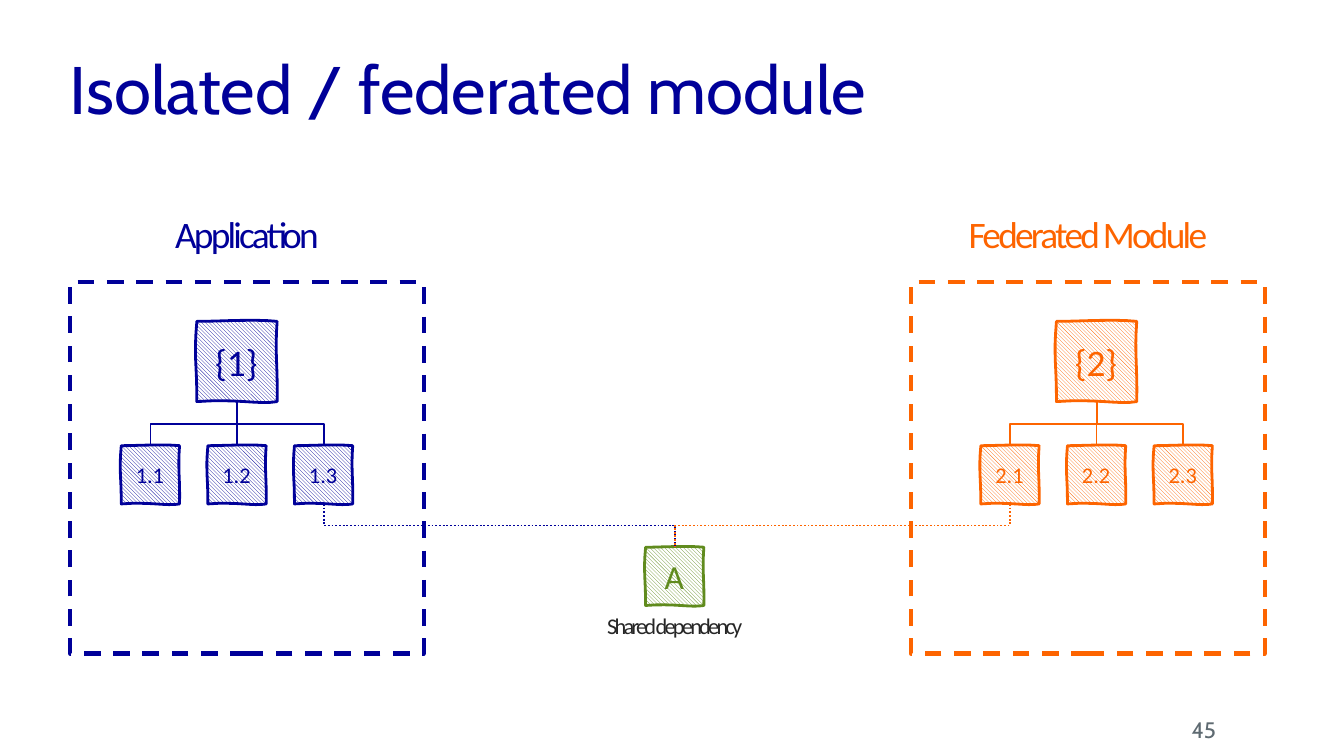
from dataclasses import dataclass

from pptx import Presentation, oxml
from pptx import util as u
from pptx.dml.color import RGBColor
from pptx.enum import dml, shapes, text
from pptx.oxml import ns

Pt = u.Pt


@dataclass(frozen=True)
class Theme:
    navy: str = "000099"
    orange: str = "FD6400"
    green: str = "608B1D"
    ink: str = "262626"
    grey: str = "5E6A71"
    white: str = "FFFFFF"
    heading_font: str = "Cabin"
    body_font: str = "Calibri"
    title: int = 36
    label: int = 20
    shared: int = 18
    small: int = 12


T = Theme()
ROOT, CHILD, PITCH = 43, 31.2, 46.4  # square sides and child spacing
ROOT_TOP, CHILD_TOP = 21, 87.6  # offsets from the top of the frame

# Hand-drawn square of side 1: two control points and an end for each edge
SKETCH = [
    ((0.3, 0), (0.7, -0.03), (1, 0)),
    ((0.97, 0.4), (1.01, 0.56), (1, 1)),
    ((0.78, 1.04), (0.48, 0.96), (0, 1)),
    ((0, 0.5), (-0.04, 0.44), (0, 0)),
]


def rgb(color):
    return RGBColor.from_string(color)


def sketch_points(steps=8):
    start = (0, 0)
    for a, b, end in SKETCH:
        for i in range(1, steps + 1):
            t = i / steps
            yield tuple(
                (1 - t) ** 3 * p + 3 * (1 - t) ** 2 * t * q + 3 * (1 - t) * t * t * r + t ** 3 * e
                for p, q, r, e in zip(start, a, b, end))
        start = end


def write(sp, words, size, color, font=T.body_font, align="CENTER", anchor="MIDDLE",
          insets=(0, 0, 0, 0), tracking=0, leading=None):
    tf = sp.text_frame
    sides = dict(zip(("left", "top", "right", "bottom"), insets))
    for side, gap in sides.items():
        setattr(tf, f"margin_{side}", Pt(gap))
    tf.word_wrap = True
    tf.vertical_anchor = text.MSO_ANCHOR[anchor]
    p = tf.paragraphs[0]
    p.alignment = text.PP_ALIGN[align]
    if leading:
        p.line_spacing = leading
    r = p.add_run()
    r.text = words
    for name, value in {"size": Pt(size), "name": font}.items():
        setattr(r.font, name, value)
    r.font.color.rgb = rgb(color)
    if tracking:
        r.font._element.set("spc", str(int(tracking * 100)))


def add_text(s, box, words, size, color, **formats):
    sp = s.shapes.add_textbox(*map(Pt, box))
    write(sp, words, size, color, **formats)


def add_label(s, box, words, size, color):
    add_text(s, box, words, size, color, anchor="TOP", insets=(0, 3.6, 0, 3.6), tracking=-1.5)


def add_square(s, center, top, side, words, size, color):
    left = center - side / 2
    outline = s.shapes.build_freeform(Pt(left), Pt(top), scale=1.0)
    outline.add_line_segments(
        [(Pt(left + x * side), Pt(top + y * side)) for x, y in sketch_points()], close=True)
    sp = outline.convert_to_shape()
    sp.shadow.inherit = False
    sp.fill.patterned()
    sp.fill.pattern = dml.MSO_PATTERN.LIGHT_DOWNWARD_DIAGONAL
    sp.fill.fore_color.rgb = rgb(color)
    sp.fill.back_color.rgb = rgb(T.white)
    sp.line.color.rgb = rgb(color)
    sp.line.width = Pt(1.5)
    write(sp, words, size, color)


def add_elbow(s, start, end, color, dash=None):
    """Elbow that leaves downwards: a level one, turned about its middle."""
    (x1, y1), (x2, y2) = start, end
    cx, cy = (x1 + x2) / 2, (y1 + y2) / 2
    rightward = x2 >= x1
    half_w = (y2 - y1) / 2 * (-1 if rightward else 1)
    half_h = abs(x2 - x1) / 2
    line = s.shapes.add_connector(
        shapes.MSO_CONNECTOR.ELBOW,
        *map(Pt, (cx - half_w, cy - half_h, cx + half_w, cy + half_h)))
    spPr = line._element.spPr
    spPr.find(ns.qn("a:xfrm")).set("rot", str((270 if rightward else 90) * 60000))
    line.line.color.rgb = rgb(color)
    line.line.width = Pt(1)
    if dash:
        line.line.dash_style = dash
    spPr.append(oxml.parse_xml(f"<a:effectLst {ns.nsdecls('a')}/>"))


def add_module(s, box, number, name, color, center):
    """Dashed frame with its heading and tree; returns the child centres."""
    left, top, width, height = box
    add_label(s, (left, top - 41.8, width, 31.7), name, T.label, color)
    frame = s.shapes.add_shape(shapes.MSO_SHAPE.RECTANGLE, *map(Pt, box))
    frame.shadow.inherit = False
    frame.fill.background()
    frame.line.color.rgb = rgb(color)
    frame.line.width = Pt(2.25)
    frame.line.dash_style = dml.MSO_LINE.DASH

    # Root, children and the branches between them
    root_top, child_top = top + ROOT_TOP, top + CHILD_TOP
    add_square(s, center, root_top, ROOT, f"{{{number}}}", T.label, color)
    centers = [center + PITCH * i for i in (-1, 0, 1)]
    for i, x in enumerate(centers, 1):
        add_square(s, x, child_top, CHILD, f"{number}.{i}", T.small, color)
        add_elbow(s, (center, root_top + ROOT), (x, child_top), color)
    return centers


def add_shared(s, box, links):
    """Shared dependency, linked to (x, y, colour) points above it."""
    left, top, width, height = box
    center = left + width / 2
    add_square(s, center, top, CHILD, "A", T.shared, T.green)
    add_label(s, (left, top + CHILD, width, height - CHILD), "Shared dependency", T.small, T.ink)
    for x, y, color in links:
        add_elbow(s, (x, y), (center, top), color, dml.MSO_LINE.ROUND_DOT)


def main():
    prs = Presentation()
    prs.slide_width, prs.slide_height = Pt(720), Pt(405)
    s = prs.slides.add_slide(prs.slide_layouts[6])

    # Title and page number
    add_text(s, (37.5, 15, 615, 69), "Isolated / federated module", T.title, T.navy,
             font=T.heading_font, align="LEFT", leading=0.9)
    add_text(s, (601, 383, 50.5, 16), "45", T.small, T.grey,
             font=T.heading_font, align="RIGHT", insets=(7.2, 3.6, 0, 3.6))

    # Two modules and what they share
    top, width, height = 151.2, 189.5, 199
    app = add_module(s, (37.5, top, width, height), 1, "Application", T.navy, 127)
    fed = add_module(s, (488, top, width, height), 2, "Federated Module", T.orange, 587.5)
    child_bottom = top + CHILD_TOP + CHILD
    add_shared(s, (275, 293.2, 173, 53),
               [(app[-1], child_bottom, T.navy), (fed[0], child_bottom, T.orange)])

    prs.save("out.pptx")


if __name__ == "__main__":
    main()
